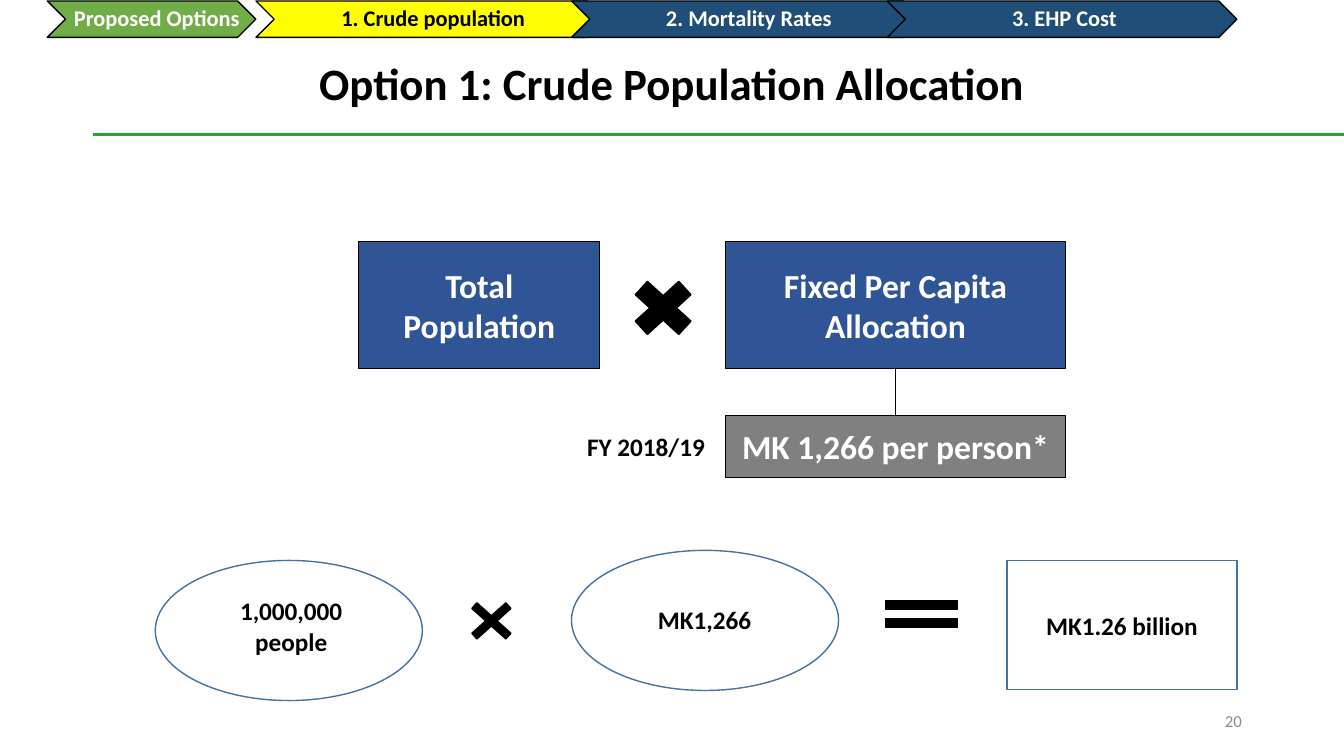
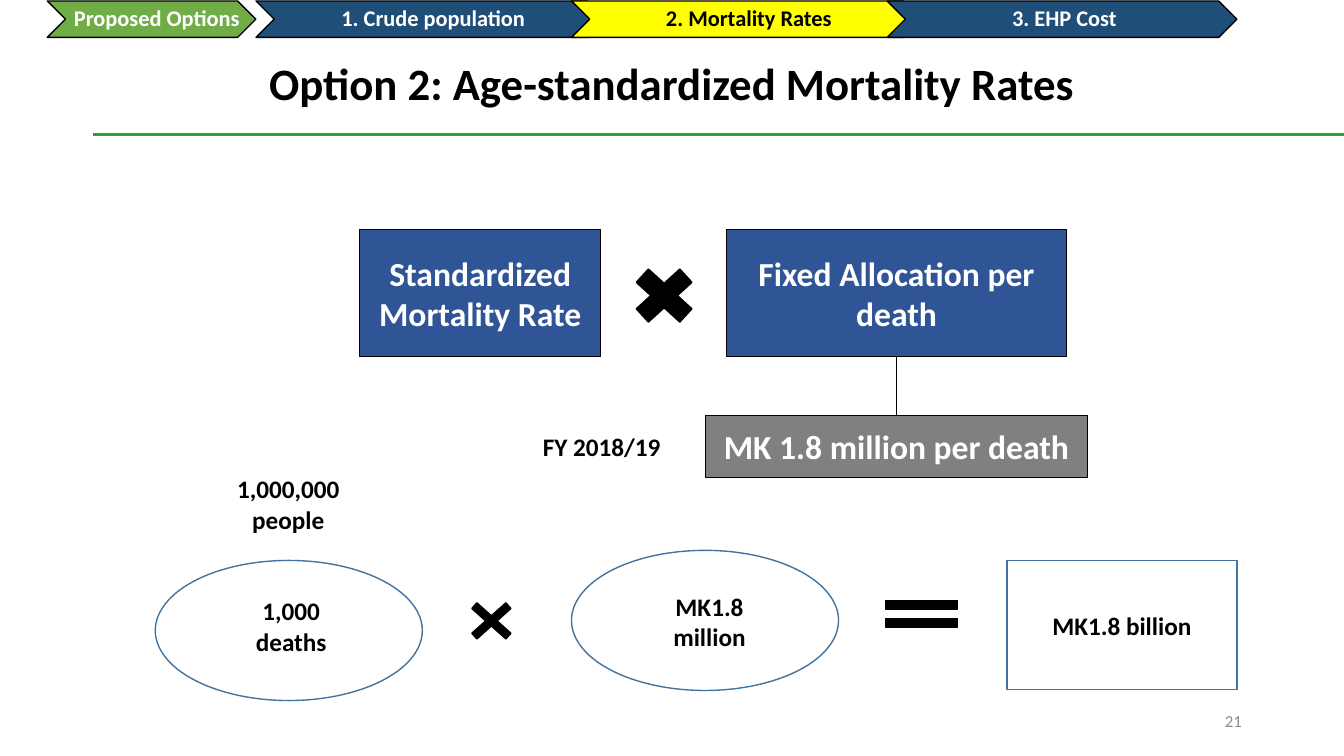
from dataclasses import dataclass
from typing import Any, Optional

import lxml.etree
import pptx
import pptx.dml.color
import pptx.enum.shapes
import pptx.enum.text
import pptx.oxml.ns
import pptx.util

Pt = pptx.util.Pt
Preset = pptx.enum.shapes.MSO_SHAPE
Align = pptx.enum.text.PP_ALIGN
Anchor = pptx.enum.text.MSO_ANCHOR

# Shared look
FONT = "Calibri"
BLACK, WHITE = "000000", "FFFFFF"
NAVY, YELLOW, GREEN = "1F4E79", "FFFF00", "70AD47"
BLUE, GREY, OUTLINE = "2F5597", "808080", "43739E"
RULE_GREEN, NUMBER_GREY = "339E35", "8C8C8C"
SLIDE_WIDTH, SLIDE_HEIGHT = 960, 540

STEPS = ("1. Crude population", "2. Mortality Rates", "3. EHP Cost")
STEP_LEFT, STEP_PITCH, STEP_WIDTH = 182.9, 225.4, 249.8
FACTOR_HEIGHT, CHIP_TOP, CHIP_HEIGHT = 90.7, 296.6, 44.6


@dataclass(frozen=True)
class Frame:
    left: float
    top: float
    width: float
    height: float

    def lengths(self) -> tuple:
        return Pt(self.left), Pt(self.top), Pt(self.width), Pt(self.height)


@dataclass(frozen=True)
class Label:
    text: str
    frame: Frame


@dataclass(frozen=True)
class Option:
    number: int
    title: str
    active_step: int
    formula_left: float
    formula_top: float
    factors: tuple[str, str]
    rate: str
    rate_width: float
    year_gap: float
    quantity: str
    price: Label
    result: str
    population: Optional[Label] = None


OPTIONS = (
    Option(20, "Option 1: Crude Population Allocation", 0, 256.3, 172.6,
           ("Total Population", "Fixed Per Capita Allocation"),
           "MK 1,266 per person*", 242.6, 0, "1,000,000\npeople",
           Label("MK1,266", Frame(444.2, 428.4, 118, 28.8)), "MK1.26 billion"),
    Option(21, "Option 2: Age-standardized Mortality Rates", 1, 257, 163.8,
           ("Standardized Mortality Rate", "Fixed Allocation per death"),
           "MK 1.8 million per death", 272.9, 17.2, "1,000\ndeaths",
           Label("MK1.8 million", Frame(447.8, 419, 118, 51.1)), "MK1.8 billion",
           Label("1,000,000\npeople", Frame(146.9, 334.8, 118, 51.1))),
)


def color(value: str) -> pptx.dml.color.RGBColor:
    return pptx.dml.color.RGBColor.from_string(value)


def write(box: Any, text: str, size: float, ink: str = BLACK, bold: bool = True,
          align: Any = Align.CENTER, anchor: Any = Anchor.MIDDLE) -> None:
    """Set the text of a box, then format every run."""
    text_frame = box.text_frame
    text_frame.text = text
    text_frame.word_wrap = True
    text_frame.auto_size = pptx.enum.text.MSO_AUTO_SIZE.NONE
    text_frame.vertical_anchor = anchor
    for para in text_frame.paragraphs:
        para.alignment = align
        for span in para.runs:
            span.font.name = FONT
            span.font.size = Pt(size)
            span.font.bold = bold
            span.font.color.rgb = color(ink)


def add_box(page: Any, preset: Any, frame: Frame, fill: str,
            line: str = BLACK, line_width: float = 1) -> Any:
    box = page.shapes.add_shape(preset, *frame.lengths())
    box.shadow.inherit = False
    box.fill.solid()
    box.fill.fore_color.rgb = color(fill)
    box.line.color.rgb = color(line)
    box.line.width = Pt(line_width)
    return box


def add_label(page: Any, label: Label) -> None:
    box = page.shapes.add_textbox(*label.frame.lengths())
    write(box, label.text, 18, anchor=Anchor.TOP)


def add_line(page: Any, start: tuple[float, float], end: tuple[float, float],
             ink: str, width: float) -> None:
    line = page.shapes.add_connector(pptx.enum.shapes.MSO_CONNECTOR.STRAIGHT,
                                     *(Pt(value) for value in start + end))
    line.line.color.rgb = color(ink)
    line.line.width = Pt(width)
    properties = line._element.spPr
    lxml.etree.SubElement(properties, pptx.oxml.ns.qn("a:effectLst"))


def add_chevron(page: Any, text: str, left: float, width: float, fill: str,
                ink: str, inset: float = 5) -> None:
    chevron = add_box(page, Preset.CHEVRON, Frame(left, 0.7, width, 26), fill)
    write(chevron, text, 16, ink)
    text_frame = chevron.text_frame
    text_frame.word_wrap = False
    text_frame.margin_left = Pt(inset)
    text_frame.margin_right = text_frame.margin_top = text_frame.margin_bottom = Pt(1.5)
    text_frame.paragraphs[0].line_spacing = 0.9


def add_header(page: Any, option: Option) -> None:
    # Title, rule and page number
    title = page.shapes.title
    title.left, title.top, title.width, title.height = Frame(76.3, 0.7, 807.1, 81.4).lengths()
    write(title, option.title, 32, anchor=Anchor.BOTTOM)
    title.text_frame.paragraphs[0].line_spacing = 0.9
    add_line(page, (66.2, 95.8), (SLIDE_WIDTH, 95.8), RULE_GREEN, 2.25)
    number = page.shapes.add_textbox(*Frame(678.2, 500.4, 216, 28.8).lengths())
    write(number, str(option.number), 12, NUMBER_GREY, False, Align.RIGHT)

    # Progress band
    for index, step in enumerate(STEPS):
        active = index == option.active_step
        add_chevron(page, step, STEP_LEFT + index * STEP_PITCH, STEP_WIDTH,
                    YELLOW if active else NAVY, BLACK if active else WHITE)
    add_chevron(page, "Proposed Options", 33.8, 149, GREEN, WHITE, 9)


def add_formula(page: Any, option: Option) -> None:
    # Two factors and the sign between them
    left, top = option.formula_left, option.formula_top
    for text, offset, width in zip(option.factors, (0, 262.1), (172.1, 242.6)):
        frame = Frame(left + offset, top, width, FACTOR_HEIGHT)
        write(add_box(page, Preset.RECTANGLE, frame, BLUE, line_width=0.5), text, 24, WHITE)
    add_box(page, Preset.MATH_MULTIPLY, Frame(left + 187.5, top + 20, 59.8, 54.7), BLACK)

    # Rate centred under the second factor
    center = left + 262.1 + 242.6 / 2
    rate_left = center - option.rate_width / 2
    rate = add_box(page, Preset.RECTANGLE,
                   Frame(rate_left, CHIP_TOP, option.rate_width, CHIP_HEIGHT), GREY)
    write(rate, option.rate, 24, WHITE)
    add_line(page, (center, top + FACTOR_HEIGHT), (center, CHIP_TOP), BLACK, 0.5)
    add_label(page, Label("FY 2018/19",
                          Frame(rate_left - option.year_gap - 113.8, 304.6, 113.8, 28.8)))


def add_example(page: Any, option: Option) -> None:
    # Quantity times price
    quantity = Label(option.quantity, Frame(149, 421.9, 118, 51.1))
    for label, left, top in ((quantity, 110.9, 400.3), (option.price, 408.2, 393.1)):
        add_box(page, Preset.OVAL, Frame(left, top, 190.8, 100.1), WHITE, OUTLINE)
        add_label(page, label)
    times = add_box(page, Preset.MATH_MULTIPLY, Frame(327.6, 422.6, 46.8, 41.8), BLACK)
    times.adjustments[0] = 0.13

    # Result
    equals = add_box(page, Preset.MATH_EQUAL, Frame(623.5, 419, 69.8, 38.9), BLACK)
    equals.adjustments[0], equals.adjustments[1] = 0.15, 0.18
    result = add_box(page, Preset.RECTANGLE, Frame(719.3, 400.3, 164.2, 92.2), WHITE, OUTLINE)
    write(result, option.result, 18)
    if option.population:
        add_label(page, option.population)


def main() -> None:
    deck = pptx.Presentation()
    deck.slide_width, deck.slide_height = Pt(SLIDE_WIDTH), Pt(SLIDE_HEIGHT)
    title_only = deck.slide_layouts[5]
    for option in OPTIONS:
        page = deck.slides.add_slide(title_only)
        add_header(page, option)
        add_formula(page, option)
        add_example(page, option)
    deck.save("out.pptx")


if __name__ == "__main__":
    main()
